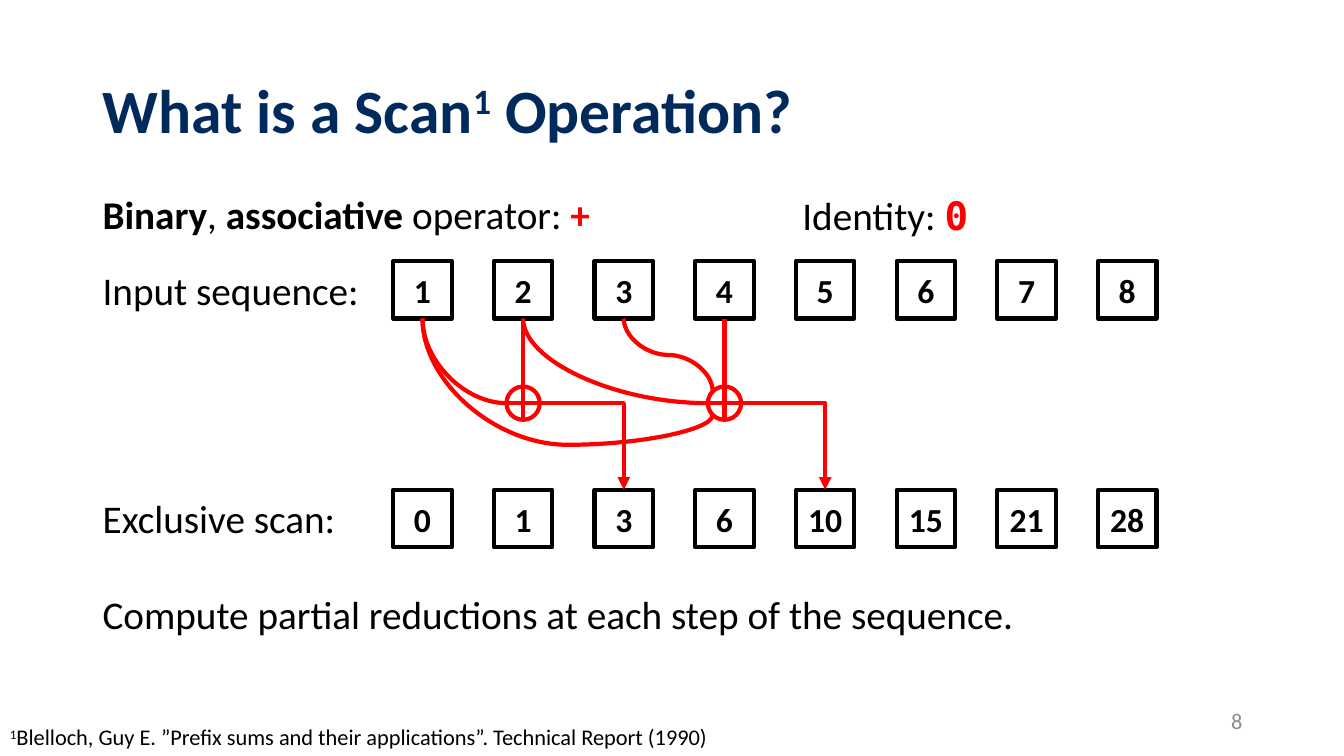
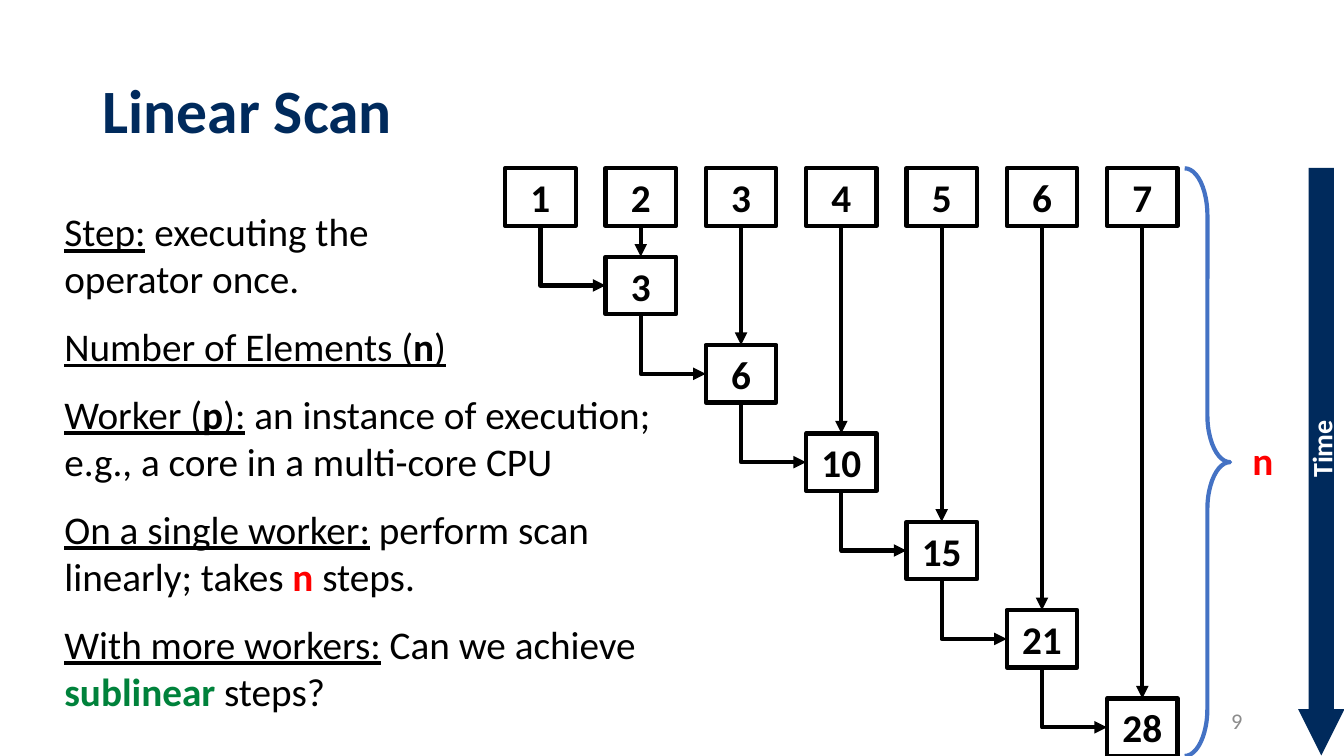
from dataclasses import dataclass
from itertools import accumulate

from lxml.etree import SubElement
from pptx import Presentation
from pptx.dml.color import RGBColor
from pptx.enum.shapes import MSO_CONNECTOR, MSO_SHAPE
from pptx.enum.text import MSO_ANCHOR, MSO_AUTO_SIZE, PP_ALIGN
from pptx.oxml.ns import qn
from pptx.util import Inches, Pt


@dataclass(frozen=True)
class Theme:
    font: str = "Calibri"
    mono: str = "DejaVu Sans Mono"
    navy: str = "002A5C"
    black: str = "000000"
    white: str = "FFFFFF"
    red: str = "FF0000"
    green: str = "00823B"
    blue: str = "4472C4"
    gray: str = "8C8C8C"
    title: int = 44
    body: int = 28
    cell: int = 24
    arrow: int = 20
    small: int = 16
    line: int = 3


THEME = Theme()

# Run styles
BOLD = {"bold": True}
UNDER = {"underline": True}
UNDER_BOLD = {"underline": True, "bold": True}
RED = {"bold": True, "color": THEME.red}
GREEN = {"bold": True, "color": THEME.green}
MONO = {"bold": True, "color": THEME.red, "name": THEME.mono}
SUPER = {"superscript": True}

# Content: a run is plain text or (text, style)
SCAN_TITLE = ["What is a Scan", ("1", SUPER), " Operation?"]
SCAN_TEXTS = [  # left, top, width, runs
    (0.92, 1.84, 5.09, [("Binary", BOLD), ", ", ("associative", BOLD), " operator: ", ("+", RED)]),
    (7.86, 1.85, 1.98, ["Identity: ", ("0", MONO)]),
    (0.92, 2.59, 2.77, ["Input sequence:"]),
    (0.92, 4.85, 2.77, ["Exclusive scan:"]),
    (0.92, 5.81, 11.17, ["Compute partial reductions at each step of the sequence."]),
]
CITATION = [("1", SUPER), "Blelloch, Guy E.\u00a0”Prefix sums and their applications”. Technical Report (1990)"]
SCAN_INPUT = [1, 2, 3, 4, 5, 6, 7, 8]

LINEAR_TITLE = ["Linear Scan"]
LINEAR_INPUT = [1, 2, 3, 4, 5, 6, 7]
LINEAR_NOTES = [  # width, height, runs
    (3.77, 1.04, [("Step:", UNDER), " executing the operator once."]),
    (4.08, 0.57, [("Number of Elements (", UNDER), ("n", UNDER_BOLD), (")", UNDER)]),
    (6.07, 1.04, [("Worker (", UNDER), ("p", UNDER_BOLD), ("):", UNDER),
                  " an instance of execution; e.g., a core in a multi-core CPU"]),
    (6.12, 1.04, [("On a single worker:", UNDER), " perform scan linearly; takes ", ("n", RED), " steps."]),
    (6.12, 1.04, [("With more workers:", UNDER), " Can we achieve ", ("sublinear", GREEN), " steps?"]),
]


def inches(*lengths):
    return [Inches(length) for length in lengths]


def write(shape, runs, size, color=THEME.black, bold=False, align=PP_ALIGN.LEFT):
    paragraph = shape.text_frame.paragraphs[0]
    paragraph.alignment = align
    font = paragraph.font
    font.name, font.size, font.bold = THEME.font, Pt(size), bold
    font.color.rgb = RGBColor.from_string(color)
    for item in runs:
        text, style = (item, {}) if isinstance(item, str) else item
        run = paragraph.add_run()
        run.text = text
        for key, value in style.items():
            if key == "color":
                run.font.color.rgb = RGBColor.from_string(value)
            elif key == "superscript":
                run._r.get_or_add_rPr().set("baseline", "30000")
            else:
                setattr(run.font, key, value)
    return paragraph


def add_text(slide, box, runs, size=THEME.body, middle=False, **style):
    label = slide.shapes.add_textbox(*inches(*box))
    frame = label.text_frame
    frame.word_wrap = True
    if middle:
        frame.vertical_anchor = MSO_ANCHOR.MIDDLE
    else:
        frame.auto_size = MSO_AUTO_SIZE.SHAPE_TO_FIT_TEXT
    return write(label, runs, size, **style)


def add_figure(slide, preset, box, fill=None, line=None):
    figure = slide.shapes.add_shape(preset, *inches(*box))
    figure.shadow.inherit = False
    if fill:
        figure.fill.solid()
        figure.fill.fore_color.rgb = RGBColor.from_string(fill)
    else:
        figure.fill.background()
    if line:
        figure.line.color.rgb = RGBColor.from_string(line)
        figure.line.width = Pt(THEME.line)
    else:
        figure.line.fill.background()
    return figure


def add_cell(slide, box, value, size, fill=None):
    cell = add_figure(slide, MSO_SHAPE.RECTANGLE, box, fill, THEME.black)
    cell.text_frame.vertical_anchor = MSO_ANCHOR.MIDDLE
    write(cell, [str(value)], size, bold=True, align=PP_ALIGN.CENTER)
    return cell


def add_line(slide, start, end, color, arrow=False):
    line = slide.shapes.add_connector(MSO_CONNECTOR.STRAIGHT, *inches(*start, *end))
    line.line.color.rgb = RGBColor.from_string(color)
    line.line.width = Pt(THEME.line)
    if arrow:
        SubElement(line.line._get_or_add_ln(), qn("a:tailEnd"), type="triangle")
    SubElement(line._element.spPr, qn("a:effectLst"))
    return line


def join_down(slide, upper, lower, color, arrow=False):
    """Straight line from the bottom of one shape to the top of another."""
    line = add_line(slide, (0, 0), (1, 1), color, arrow)
    line.begin_connect(upper, 2)
    line.end_connect(lower, 0)


def add_route(slide, preset, start, end, color, arrow=False, down_first=False, bend=None):
    """Bent or curved connector, leaving its start sideways or downwards."""
    route = add_line(slide, start, end, color, arrow)
    geometry = route._element.spPr.find(qn("a:prstGeom"))
    geometry.set("prst", preset)
    if bend is not None:
        SubElement(geometry.find(qn("a:avLst")), qn("a:gd"), name="adj1", fmla=f"val {round(bend * 100000)}")
    if down_first:
        (x1, y1), (x2, y2) = start, end
        across, down = x2 - x1, y2 - y1
        route.left, route.top, route.width, route.height = inches(
            (x1 + x2 - down) / 2, (y1 + y2 - across) / 2, down, across)
        frame = route._element.spPr.find(qn("a:xfrm"))
        frame.set("rot", str(270 * 60000))
        frame.set("flipH", "1")


def add_page(deck, title, number):
    slide = deck.slides.add_slide(deck.slide_layouts[6])
    heading = add_text(slide, (0.92, 0.4, 11.5, 1.45), title, THEME.title, middle=True,
                       color=THEME.navy, bold=True)
    heading.line_spacing = 0.9
    add_text(slide, (9.42, 6.95, 3, 0.4), [str(number)], THEME.small, middle=True,
             color=THEME.gray, align=PP_ALIGN.RIGHT)
    return slide


def build_scan(deck):
    slide = add_page(deck, SCAN_TITLE, 8)
    for left, top, width, runs in SCAN_TEXTS:
        add_text(slide, (left, top, width, 0.57), runs)
    add_text(slide, (0, 7.13, 11.96, 0.37), CITATION, THEME.small)

    width, height, input_top, output_top = 0.58, 0.57, 2.59, 4.86
    pitch = (10.89 - 3.9) / 7
    lefts = [3.9 + pitch * i for i in range(len(SCAN_INPUT))]
    centers = [left + width / 2 for left in lefts]
    exclusive = accumulate([0] + SCAN_INPUT[:-1])
    inputs = [add_cell(slide, (x, input_top, width, height), value, THEME.cell)
              for x, value in zip(lefts, SCAN_INPUT)]
    for x, value in zip(lefts, exclusive):
        add_cell(slide, (x, output_top, width, height), value, THEME.cell)

    radius, operator_y = 0.165, 4.0
    for column in (1, 3):
        x = centers[column]
        operator = add_figure(slide, MSO_SHAPE.FLOWCHART_OR,
                              (x - radius, operator_y - radius, 2 * radius, 2 * radius),
                              THEME.white, THEME.red)
        join_down(slide, inputs[column], operator, THEME.red)
        add_route(slide, "bentConnector2", (x + radius, operator_y), (centers[column + 1], output_top),
                  THEME.red, arrow=True)

    diagonal = radius / 2 ** 0.5
    curves = [  # input column, operator column, x and y offset on the operator, bend
        (0, 1, -radius, 0, None),
        (0, 3, -diagonal, diagonal, 1.31),
        (1, 3, -radius, 0, None),
        (2, 3, -diagonal, -diagonal, 0.5),
    ]
    for source, target, dx, dy, bend in curves:
        preset = "curvedConnector2" if bend is None else "curvedConnector3"
        add_route(slide, preset, (centers[source], input_top + height),
                  (centers[target] + dx, operator_y + dy), THEME.red, down_first=True, bend=bend)


def build_linear(deck):
    slide = add_page(deck, LINEAR_TITLE, 9)
    top = 2.01
    for note_width, note_height, runs in LINEAR_NOTES:
        add_text(slide, (0.54, top, note_width, note_height), runs)
        top += note_height + 0.1

    width, height, first_left, first_top = 0.7, 0.57, 5.01, 1.67
    steps = len(LINEAR_INPUT) - 1
    across, down = (10.98 - first_left) / steps, (6.93 - first_top) / steps
    for i, (value, total) in enumerate(zip(LINEAR_INPUT, accumulate(LINEAR_INPUT))):
        left, sum_top = first_left + across * i, first_top + down * i
        element = add_cell(slide, (left, first_top, width, height), value, THEME.body, THEME.white)
        if i == 0:
            continue
        partial = add_cell(slide, (left, sum_top, width, height), total, THEME.body, THEME.white)
        join_down(slide, element, partial, THEME.black, arrow=True)
        add_route(slide, "bentConnector2", (left - across + width / 2, sum_top - down + height),
                  (left, sum_top + height / 2), THEME.black, arrow=True, down_first=True)

    time = add_figure(slide, MSO_SHAPE.LEFT_ARROW, (10.19, 4.35, 5.83, 0.46), THEME.navy)
    time.rotation = 270
    time.adjustments[0], time.adjustments[1] = 0.548, 1.0
    time.text_frame.vertical_anchor = MSO_ANCHOR.MIDDLE
    write(time, ["Time"], THEME.arrow, THEME.white, bold=True, align=PP_ALIGN.CENTER)
    brace = add_figure(slide, MSO_SHAPE.RIGHT_BRACE, (11.75, first_top, 0.45, 5.83), line=THEME.blue)
    brace.adjustments[0] = 1.04
    add_text(slide, (12.2, 4.28, 0.65, 0.57), ["n"], color=THEME.red, bold=True, align=PP_ALIGN.CENTER)


def main():
    deck = Presentation()
    deck.slide_width, deck.slide_height = inches(13.33, 7.5)
    build_scan(deck)
    build_linear(deck)
    deck.save("out.pptx")


if __name__ == "__main__":
    main()
